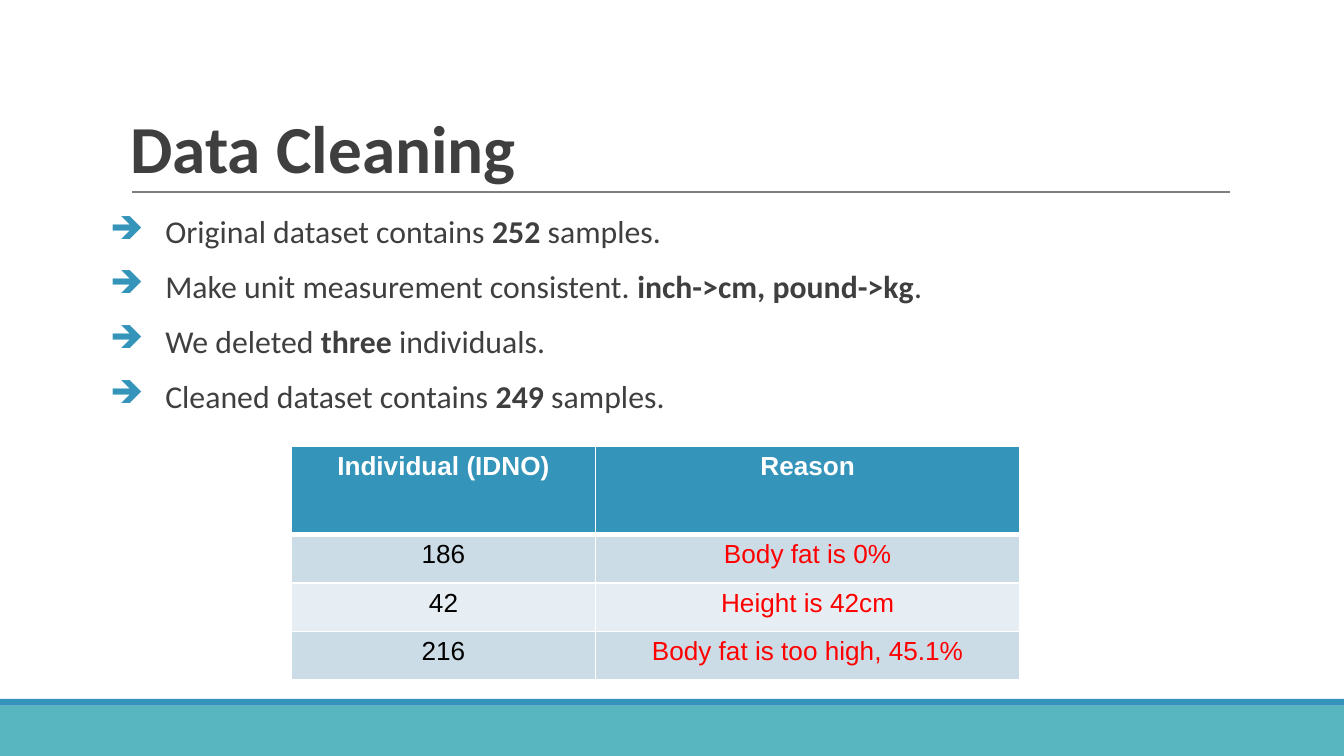
from dataclasses import dataclass

from lxml import etree
from pptx import Presentation
from pptx.dml.color import RGBColor
from pptx.enum.shapes import MSO_CONNECTOR, MSO_SHAPE
from pptx.enum.text import MSO_ANCHOR, PP_ALIGN
from pptx.oxml.ns import qn
from pptx.util import Inches, Pt

RECT = MSO_SHAPE.RECTANGLE
LINE = MSO_CONNECTOR.STRAIGHT
BOTTOM = MSO_ANCHOR.BOTTOM
CENTER = PP_ALIGN.CENTER


@dataclass(frozen=True)
class Theme:
    blue: str = "3494BA"
    teal: str = "58B6C0"
    ink: str = "3F3F3F"
    rule: str = "7F7F7F"
    white: str = "FFFFFF"
    black: str = "000000"
    red: str = "FF0000"
    bands: tuple = ("CCDCE6", "E7EEF3")
    text_font: str = "Calibri"
    table_font: str = "Arial"
    title_size: float = 36
    body_size: float = 17
    cell_size: float = 14


def color(code):
    return RGBColor.from_string(code)


def add_node(parent, tag, **attrs):
    return etree.SubElement(parent, qn(tag), attrs)


class Deck:
    def __init__(self, theme, slide):
        self.theme = theme
        self.slide = slide

    def style(self, para, font, size, code, bold=None):
        para.font.name = font
        para.font.size = Pt(size)
        para.font.color.rgb = color(code)
        para.font.bold = bold

    def bar(self, top, width, height, code):
        bar = self.slide.shapes.add_shape(RECT, 0, Inches(top), width, Inches(height))
        bar.shadow.inherit = False
        bar.fill.solid()
        bar.fill.fore_color.rgb = color(code)
        bar.line.fill.background()

    def rule(self, left, right, y):
        line = self.slide.shapes.add_connector(
            LINE, Inches(left), Inches(y), Inches(right), Inches(y))
        line.line.color.rgb = color(self.theme.rule)
        line.line.width = Pt(0.75)
        add_node(line._element.spPr, "a:effectLst")

    def frame(self, left, top, width, height, side, edge):
        box = self.slide.shapes.add_textbox(
            Inches(left), Inches(top), Inches(width), Inches(height))
        frame = box.text_frame
        frame.word_wrap = True
        frame.margin_left = frame.margin_right = Inches(side)
        frame.margin_top = frame.margin_bottom = Inches(edge)
        return frame

    def title(self, text, left, top, width, height):
        frame = self.frame(left, top, width, height, 0.07, 0.04)
        frame.vertical_anchor = BOTTOM
        para = frame.paragraphs[0]
        para.text = text
        para.line_spacing = 0.85
        self.style(para, self.theme.text_font, self.theme.title_size, self.theme.ink, True)

    def bullets(self, items, left, top, width, height, indent):
        frame = self.frame(left, top, width, height, 0, 0)
        for i, parts in enumerate(items):
            para = frame.add_paragraph() if i else frame.paragraphs[0]
            para.line_spacing = 0.9
            para.space_before = Pt(11 if i else 0)
            # Arrow bullet with a hanging indent
            props = para._p.get_or_add_pPr()
            props.set("marL", str(Inches(indent)))
            props.set("indent", str(-Inches(indent)))
            tint = add_node(props, "a:buClr")
            add_node(tint, "a:srgbClr", val=self.theme.blue)
            add_node(props, "a:buChar", char="➔")
            self.style(para, self.theme.text_font, self.theme.body_size, self.theme.ink)
            # Every second part is bold
            for j, text in enumerate(parts):
                run = para.add_run()
                run.text = text
                if j % 2:
                    run.font.bold = True

    def cell(self, cell, text, fill, ink, bold, base):
        cell.margin_left = cell.margin_right = Inches(0.08)
        cell.margin_top = cell.margin_bottom = Inches(0.04)
        props = cell._tc.get_or_add_tcPr()
        for side, width in (("L", 1), ("R", 1), ("T", 1), ("B", base)):
            edge = add_node(props, f"a:ln{side}", w=str(Pt(width)))
            paint = add_node(edge, "a:solidFill")
            add_node(paint, "a:srgbClr", val=self.theme.white)
        cell.fill.solid()
        cell.fill.fore_color.rgb = color(fill)
        para = cell.text_frame.paragraphs[0]
        para.text = text
        para.alignment = CENTER
        self.style(para, self.theme.table_font, self.theme.cell_size, ink, bold)

    def table(self, rows, left, top, widths, heights):
        theme = self.theme
        table = self.slide.shapes.add_table(
            len(rows), len(widths), Inches(left), Inches(top),
            Inches(sum(widths)), Inches(sum(heights))).table
        for col, width in zip(table.columns, widths):
            col.width = Inches(width)
        for r, (row, height) in enumerate(zip(rows, heights)):
            table.rows[r].height = Inches(height)
            head = r == 0
            fill = theme.blue if head else theme.bands[(r - 1) % 2]
            inks = (theme.white,) * 2 if head else (theme.black, theme.red)
            for c, text in enumerate(row):
                self.cell(table.cell(r, c), text, fill, inks[c], head, 3 if head else 1)


def main():
    theme = Theme()
    prs = Presentation()
    prs.slide_width = Inches(10)
    prs.slide_height = prs.slide_width * 9 // 16
    deck = Deck(theme, prs.slides.add_slide(prs.slide_layouts[6]))

    # Footer bars and title rule
    deck.bar(5.25, prs.slide_width, 0.38, theme.teal)
    deck.bar(5.2, prs.slide_width, 0.05, theme.blue)
    deck.rule(0.98, 9.15, 1.43)

    # Cleaning steps
    deck.bullets([
        ("Original dataset contains ", "252", " samples."),
        ("Make unit measurement consistent. ", "inch->cm, pound->kg", "."),
        ("We deleted ", "three ", "individuals."),
        ("Cleaned dataset contains ", "249", " samples."),
    ], 0.82, 1.61, 9.18, 1.6, 0.41)

    # Deleted individuals
    deck.table([
        ("Individual (IDNO)", "Reason"),
        ("186", "Body fat is 0%"),
        ("42", "Height is 42cm"),
        ("216", "Body fat is too high, 45.1%"),
    ], 2.17, 3.32, (2.26, 3.16), (0.66,) + (0.36,) * 3)

    # Title
    deck.title("Data Cleaning", 0.9, 0.24, 8.25, 1.19)
    prs.save("out.pptx")


if __name__ == "__main__":
    main()
